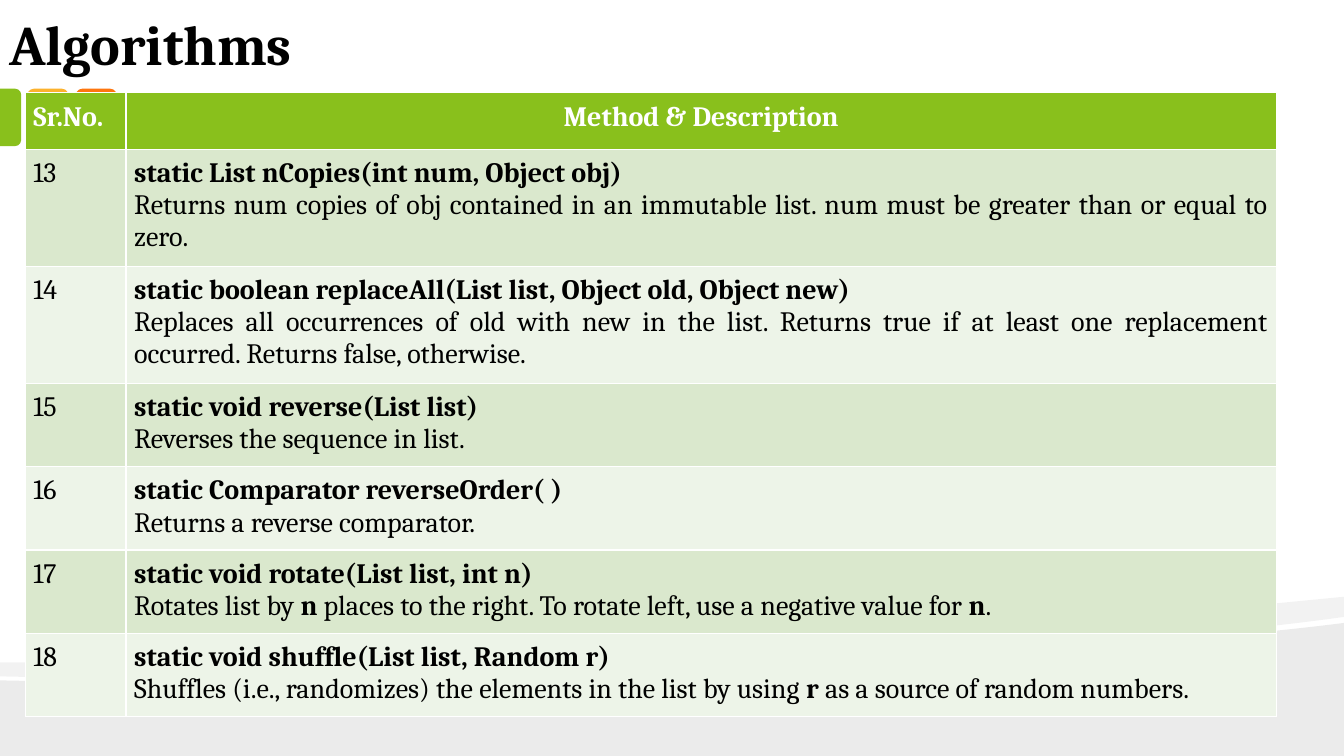
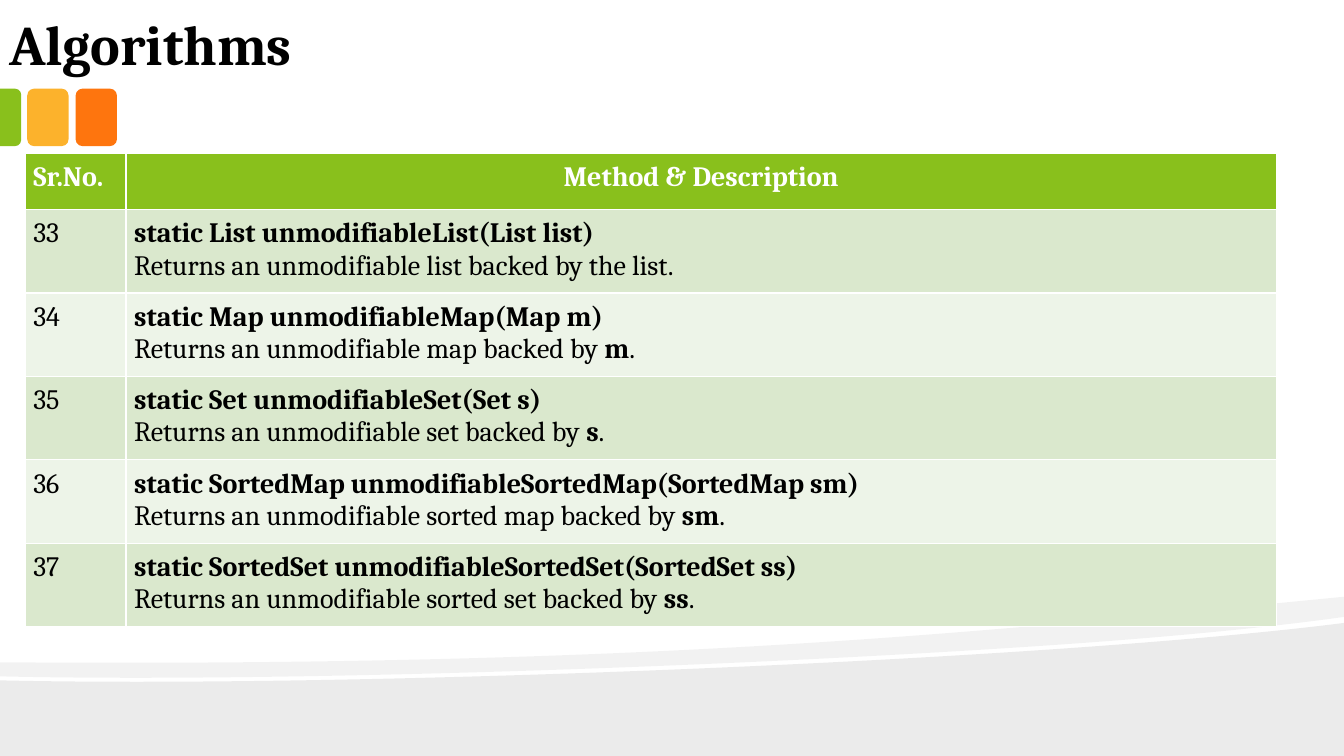
from dataclasses import dataclass

from lxml.etree import SubElement
from pptx import Presentation
from pptx.dml.color import RGBColor
from pptx.enum.shapes import MSO_SHAPE as Shape
from pptx.enum.text import MSO_ANCHOR as Anchor, PP_ALIGN as Align
from pptx.oxml.ns import qn
from pptx.util import Inches, Pt


@dataclass(frozen=True)
class Theme:
    """Colours, font and type sizes of the deck."""
    font: str = "Cambria"
    title_size: int = 40
    table_size: int = 20
    text: str = "000000"
    white: str = "FFFFFF"
    green: str = "89C01C"
    yellow: str = "FCB22C"
    orange: str = "FE750E"
    row_fills: tuple = ("DAE8CD", "EDF4E8")
    band: str = "000000"
    lower_alpha: int = 8
    upper_alpha: int = 5


@dataclass(frozen=True)
class Method:
    """One table row; asterisks in the description enclose bold words."""
    number: int
    signature: str
    description: str


THEME = Theme()
WIDTH, HEIGHT = 13.33, 7.5
ROW_HEIGHT, MARGIN = 0.56, 0.08
COLUMN_WIDTHS = (1, 11.41)

TABLES = [
    (0.92, [
        Method(13, "static List nCopies(int num, Object obj)",
               "Returns num copies of obj contained in an immutable list. "
               "num must be greater than or equal to zero."),
        Method(14, "static boolean replaceAll(List list, Object old, Object new)",
               "Replaces all occurrences of old with new in the list. Returns true "
               "if at least one replacement occurred. Returns false, otherwise."),
        Method(15, "static void reverse(List list)", "Reverses the sequence in list."),
        Method(16, "static Comparator reverseOrder( )", "Returns a reverse comparator."),
        Method(17, "static void rotate(List list, int n)",
               "Rotates list by *n* places to the right. "
               "To rotate left, use a negative value for *n*."),
        Method(18, "static void shuffle(List list, Random r)",
               "Shuffles (i.e., randomizes) the elements in the list "
               "by using *r* as a source of random numbers."),
    ]),
    (1.52, [
        Method(33, "static List unmodifiableList(List list)",
               "Returns an unmodifiable list backed by the list."),
        Method(34, "static Map unmodifiableMap(Map m)",
               "Returns an unmodifiable map backed by *m*."),
        Method(35, "static Set unmodifiableSet(Set s)",
               "Returns an unmodifiable set backed by *s*."),
        Method(36, "static SortedMap unmodifiableSortedMap(SortedMap sm)",
               "Returns an unmodifiable sorted map backed by *sm*."),
        Method(37, "static SortedSet unmodifiableSortedSet(SortedSet ss)",
               "Returns an unmodifiable sorted set backed by *ss*."),
    ]),
]

LOWER_BAND = [
    [(WIDTH, HEIGHT)], [(0, HEIGHT)], [(0, 6.75)],
    [(3.52, 6.83), (10.42, 6.55), (WIDTH, 6.18)],
]
UPPER_BAND = [
    [(WIDTH, 6.12)],
    [(12.55, 6.23), (11.49, 6.33), (10.29, 6.41)],
    [(6.98, 6.63), (2.58, 6.77), (0, 6.71)],
    [(0, 6.57)],
    [(6.52, 6.62), (9.71, 6.27), (WIDTH, 5.92)],
]


def rgb(color):
    """Turn a hex string into a colour."""
    return RGBColor.from_string(color)


def paint(sp, color):
    """Give a shape a flat fill without line or shadow."""
    sp.shadow.inherit = False
    sp.fill.solid()
    sp.fill.fore_color.rgb = rgb(color)
    sp.line.fill.background()


def add_band(s, segments, alpha):
    """Draw a translucent band; three-point segments are cubic curves."""
    points = [(Inches(x), Inches(y)) for segment in segments for x, y in segment]
    builder = s.shapes.build_freeform(*points[-1])
    builder.add_line_segments(points, close=True)
    sp = builder.convert_to_shape()
    lines = iter(list(sp._element.iter(qn("a:lnTo"))))
    for segment in segments:
        line, *others = [next(lines) for _ in segment]
        if others:
            line.tag = qn("a:cubicBezTo")
            for other in others:
                line.append(other[0])
                other.getparent().remove(other)
    paint(sp, THEME.band)
    color = next(sp._element.spPr.iter(qn("a:srgbClr")))
    SubElement(color, qn("a:alpha"), val=str(alpha * 1000))


def add_block(s, kind, x, y, w, h, color):
    """Draw one coloured block and return it."""
    sp = s.shapes.add_shape(kind, Inches(x), Inches(y), Inches(w), Inches(h))
    paint(sp, color)
    return sp


def add_backdrop(s):
    """Draw the bottom bands and the three blocks at the left edge."""
    add_band(s, LOWER_BAND, THEME.lower_alpha)
    add_band(s, UPPER_BAND, THEME.upper_alpha)
    for x, color in ((0.75, THEME.orange), (0.27, THEME.yellow)):
        add_block(s, Shape.ROUNDED_RECTANGLE, x, 0.88, 0.41, 0.57, color)
    edge = add_block(s, Shape.ROUND_2_SAME_RECTANGLE, -0.18, 1.06, 0.57, 0.21, THEME.green)
    edge.adjustments[0] = 0.29
    edge.rotation = 90


def add_run(p, text, size, color, bold=False):
    """Append one formatted run to a paragraph."""
    r = p.add_run()
    r.text = text
    r.font.name = THEME.font
    r.font.size = Pt(size)
    r.font.bold = bold
    r.font.color.rgb = rgb(color)


def add_title(s, text):
    """Add the slide title."""
    sp = s.shapes.add_textbox(Inches(-0.04), 0, Inches(10.37), Inches(0.83))
    tf = sp.text_frame
    tf.word_wrap = True
    tf.vertical_anchor = Anchor.BOTTOM
    tf.margin_left = tf.margin_right = Inches(0.13)
    tf.margin_top = tf.margin_bottom = Inches(0.07)
    add_run(tf.paragraphs[0], text, THEME.title_size, THEME.text, bold=True)


def style_cell(cell, color):
    """Set the margins and fill of a cell."""
    cell.margin_left = cell.margin_right = Inches(MARGIN)
    cell.margin_top = cell.margin_bottom = Inches(MARGIN)
    cell.fill.solid()
    cell.fill.fore_color.rgb = rgb(color)


def fill_header(cells):
    """Write the heading row."""
    headings = (("Sr.No.", Align.LEFT), ("Method & Description", Align.CENTER))
    for cell, (text, align) in zip(cells, headings):
        style_cell(cell, THEME.green)
        p = cell.text_frame.paragraphs[0]
        p.alignment = align
        add_run(p, text, THEME.table_size, THEME.white, bold=True)


def fill_method(cells, method, color):
    """Write the number, signature and description of one method."""
    for cell in cells:
        style_cell(cell, color)
    number, details = (cell.text_frame for cell in cells)
    add_run(number.paragraphs[0], str(method.number), THEME.table_size, THEME.text)
    signature, description = details.paragraphs[0], details.add_paragraph()
    signature.alignment = description.alignment = Align.JUSTIFY
    add_run(signature, method.signature, THEME.table_size, THEME.text, bold=True)
    for i, part in enumerate(method.description.split("*")):
        add_run(description, part, THEME.table_size, THEME.text, bold=i % 2 == 1)


def add_method_table(s, top, methods):
    """Add the table of methods, whose rows grow with their text."""
    count = len(methods) + 1
    table = s.shapes.add_table(count, len(COLUMN_WIDTHS), Inches(0.25), Inches(top),
                               Inches(sum(COLUMN_WIDTHS)),
                               Inches(count * ROW_HEIGHT)).table
    for column, width in zip(table.columns, COLUMN_WIDTHS):
        column.width = Inches(width)
    header, *rows = [list(row.cells) for row in table.rows]
    fill_header(header)
    for i, (cells, method) in enumerate(zip(rows, methods)):
        fill_method(cells, method, THEME.row_fills[i % 2])


def main():
    """Build and save the deck."""
    prs = Presentation()
    prs.slide_width, prs.slide_height = Inches(WIDTH), Inches(HEIGHT)
    for top, methods in TABLES:
        s = prs.slides.add_slide(prs.slide_layouts[6])
        add_backdrop(s)
        add_title(s, "Algorithms")
        add_method_table(s, top, methods)
    prs.save("out.pptx")


if __name__ == "__main__":
    main()
